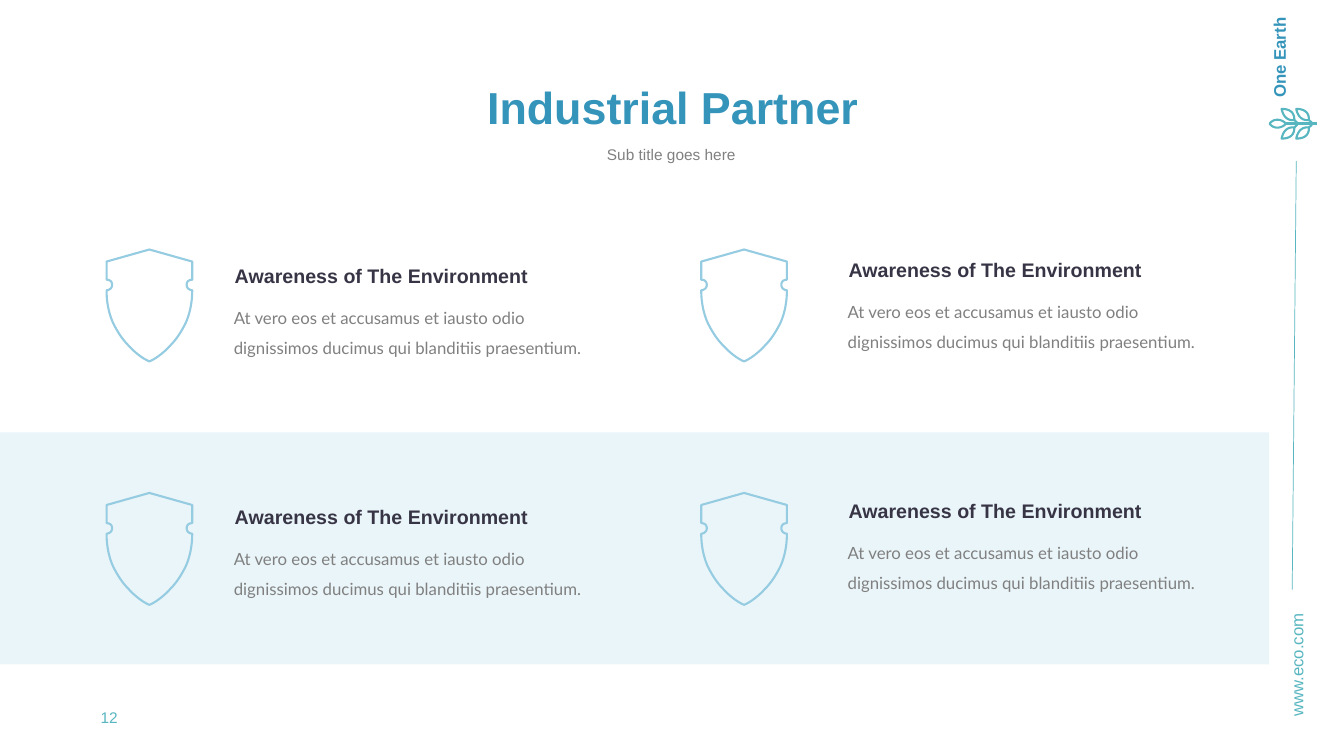
import pptx
import pptx.util
import pptx.dml.color
import pptx.enum.shapes
import pptx.enum.text
import pptx.oxml.ns
from lxml import etree

RGB = pptx.dml.color.RGBColor
Pt = pptx.util.Pt
ALIGN = pptx.enum.text.PP_ALIGN
ANCHOR = pptx.enum.text.MSO_ANCHOR

BLUE = RGB(0x34, 0x94, 0xBA)
TEAL = RGB(0x58, 0xB6, 0xC0)
SKY = RGB(0x95, 0xCC, 0xE1)
PALE = RGB(0xEA, 0xF5, 0xF9)
INK = RGB(0x37, 0x35, 0x45)
GRAY = RGB(0x80, 0x80, 0x80)

WIDE = pptx.util.Inches(13.333)
HIGH = pptx.util.Inches(7.5)
UNIT = HIGH / 750  # step of the drawing grid for icons

HEAD = "Awareness of The Environment"
BODY = ("At vero eos et accusamus et iausto odio dignissimos "
        "ducimus qui blanditiis praesentium.")

# A pair is a straight step, a six is a Bezier curve
SHIELD = [(43, 0), (85.5, 12), (85.5, 30),
          (82, 30, 80, 32, 80, 35), (80, 38, 82, 40, 85.5, 40.5),
          (85.5, 53, 83, 64, 79, 73), (75, 81, 70, 89, 64, 95),
          (55, 105, 46, 110, 43, 111)]
AXIS = 15.75
TIP = [(1.5, AXIS), (5, 11, 12, 10, 18, AXIS), (12, 21.5, 5, 20.5, 1.5, AXIS)]
LEAF = [(13.5, 1), (22, 1, 26.5, 5, 26, 12), (20, 13, 15, 9, 13.5, 1)]


def across(share):
    return round(WIDE * share / 100)


def down(share):
    return round(HIGH * share / 100)


def trace(path, steps=12):
    """Turn straight steps and curves into a list of points."""
    dots = [path[0]]
    for part in path[1:]:
        if len(part) == 2:
            dots.append(part)
            continue
        ends = [dots[-1], part[:2], part[2:4], part[4:]]
        for step in range(1, steps + 1):
            t = step / steps
            rates = ((1 - t) ** 3, 3 * t * (1 - t) ** 2,
                     3 * t * t * (1 - t), t ** 3)
            dots.append(tuple(sum(r * end[axis] for r, end in zip(rates, ends))
                              for axis in (0, 1)))
    return dots


def draw(slide, dots, left, top, color, weight):
    spots = [(round(left + x * UNIT), round(top + y * UNIT)) for x, y in dots]
    pen = slide.shapes.build_freeform(*spots[0])
    pen.add_line_segments(spots[1:], close=True)
    shape = pen.convert_to_shape()
    shape.shadow.inherit = False
    shape.fill.background()
    shape.line.color.rgb = color
    shape.line.width = Pt(weight)


def rule(slide, start, end, weight):
    line = slide.shapes.add_connector(
        pptx.enum.shapes.MSO_CONNECTOR.STRAIGHT,
        *(round(n) for n in (*start, *end)))
    line.line.color.rgb = TEAL
    line.line.width = Pt(weight)
    etree.SubElement(line._element.spPr, pptx.oxml.ns.qn("a:effectLst"))


def write(shape, text, size, color, bold=False, font="Arial",
          align=ALIGN.LEFT, anchor=ANCHOR.TOP, space=1.0):
    frame = shape.text_frame
    frame.word_wrap = True
    frame.vertical_anchor = anchor
    frame.text = text
    para = frame.paragraphs[0]
    para.alignment = align
    para.line_spacing = space
    para.font.name = font
    para.font.size = Pt(size)
    para.font.bold = bold
    para.font.color.rgb = color


def label(slide, left, top, width, height, text, size, color, **style):
    box = slide.shapes.add_textbox(across(left), down(top),
                                   across(width), down(height))
    write(box, text, size, color, **style)


def upright(slide, mid, foot, length, thick, text, color, **style):
    """Text that reads upwards from foot, centred on mid."""
    long, deep = down(length), down(thick)
    box = slide.shapes.add_textbox(across(mid) - long // 2,
                                   down(foot) - long // 2 - deep // 2,
                                   long, deep)
    box.rotation = 270
    write(box, text, 12, color, **style)


def band(slide):
    shape = slide.shapes.add_shape(pptx.enum.shapes.MSO_SHAPE.RECTANGLE,
                                   0, down(57.2), across(94.43), down(30.67))
    shape.shadow.inherit = False
    shape.fill.solid()
    shape.fill.fore_color.rgb = PALE
    shape.line.fill.background()


def twig(slide):
    left, top = across(94.35), down(14.27)

    def stem(x1, y1, x2, y2, weight):
        rule(slide, (left + x1 * UNIT, top + y1 * UNIT),
             (left + x2 * UNIT, top + y2 * UNIT), weight)

    stem(17, AXIS, 49, AXIS, 2.25)
    draw(slide, trace(TIP), left, top, TEAL, 1.5)
    for shift in (0, 14.5):
        for side in (1, -1):
            dots = [(x + shift, AXIS + side * (y - AXIS))
                    for x, y in trace(LEAF)]
            draw(slide, dots, left, top, TEAL, 1.5)
            stem(26 + shift, AXIS - side * 3.75, 29 + shift, AXIS - side, 1.5)


def card(slide, col, row):
    half = trace(SHIELD)
    dots = half + [(86 - x, y) for x, y in half[-2:0:-1]]
    draw(slide, dots, across(7.89 + 44.25 * col), down(33 + 32.2 * row),
         SKY, 1.5)
    left = 16.73 + 45.67 * col
    top = 34.27 + 31.87 * row - 0.8 * col
    label(slide, left, top, 28.2, 4.53, HEAD, 14, INK, bold=True)
    label(slide, left - 0.07, top + 4.4, 28.2, 9.47, BODY, 12, GRAY,
          font="Lato", space=1.5)


def main():
    deck = pptx.Presentation()
    deck.slide_width, deck.slide_height = WIDE, HIGH
    slide = deck.slides.add_slide(deck.slide_layouts[5])

    # Side strip
    upright(slide, 96.11, 96.13, 23.6, 4.13, "www.eco.com", TEAL,
            anchor=ANCHOR.MIDDLE, space=1.5)
    twig(slide)
    upright(slide, 95.93, 14.27, 16, 6.67, "One Earth", BLUE, bold=True)
    rule(slide, (across(96.45), down(21.33)), (across(96.15), down(78)), 0.5)

    # Title and page number
    band(slide)
    title = slide.shapes.title
    title.left, title.top = across(6.75), down(8.93)
    title.width, title.height = across(86.63), down(11.33)
    write(title, "Industrial Partner", 32, BLUE, bold=True,
          align=ALIGN.CENTER, anchor=ANCHOR.MIDDLE, space=0.9)
    label(slide, 38.93, 17.33, 22.05, 4.67, "Sub title goes here", 11, GRAY,
          align=ALIGN.CENTER, space=1.5)
    label(slide, 6.75, 92.27, 16.05, 5.33, "12", 11, TEAL,
          anchor=ANCHOR.MIDDLE)

    # Partners
    for row in range(2):
        for col in range(2):
            card(slide, col, row)

    deck.save("out.pptx")


if __name__ == "__main__":
    main()
